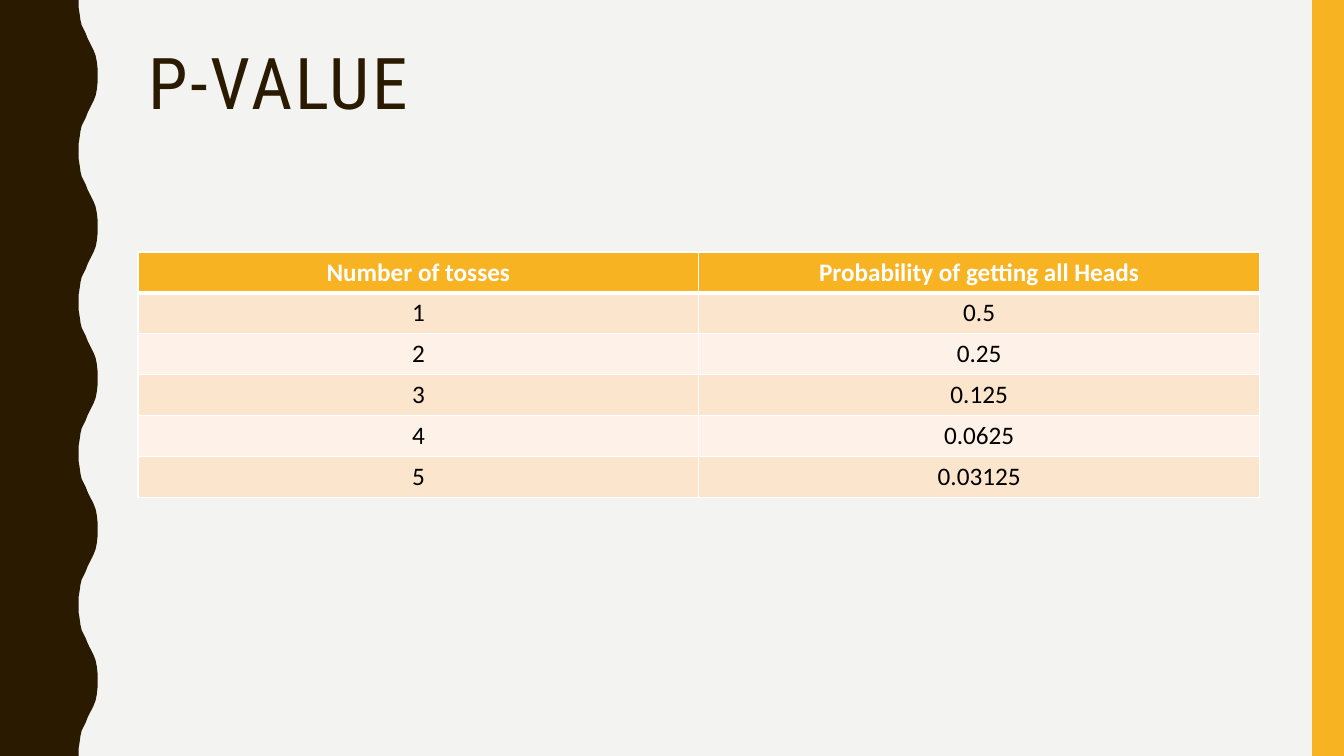
"""Build the P-value slide with its table of coin toss probabilities."""
import lxml.etree
import pptx
import pptx.dml.color
import pptx.enum.shapes
import pptx.enum.text
import pptx.oxml
import pptx.oxml.ns
import pptx.util

Cm = pptx.util.Cm
Pt = pptx.util.Pt
RGBColor = pptx.dml.color.RGBColor
Align = pptx.enum.text.PP_ALIGN
Anchor = pptx.enum.text.MSO_ANCHOR

BACKGROUND = RGBColor(0xF3, 0xF3, 0xF2)
BROWN = RGBColor(0x2A, 0x1A, 0x00)
GOLD = RGBColor(0xF8, 0xB3, 0x23)
PEACH = RGBColor(0xFC, 0xE5, 0xCD)
CREAM = RGBColor(0xFE, 0xF2, 0xE8)
WHITE = RGBColor(0xFF, 0xFF, 0xFF)
BLACK = RGBColor(0x00, 0x00, 0x00)

SLIDE_WIDTH, SLIDE_HEIGHT = 33.87, 19.05
WAVE_COUNT = 5
WAVE_PERIOD = SLIDE_HEIGHT / WAVE_COUNT
HALF_WAVE = [
    (1.98, 0), (1.98, 0.18), (2.01, 0.36), (2.03, 0.51), (2.06, 0.64),
    (2.11, 0.74), (2.16, 0.84), (2.21, 0.97), (2.26, 1.07), (2.31, 1.17),
    (2.36, 1.27), (2.41, 1.4), (2.44, 1.55), (2.46, 1.73), (2.46, 1.9),
]
TOSSES = [
    ("Number of tosses", "Probability of getting all Heads"),
    ("1", "0.5"),
    ("2", "0.25"),
    ("3", "0.125"),
    ("4", "0.0625"),
    ("5", "0.03125"),
]


def write_text(text_frame, text, *, font, size, color, bold=False,
               align=Align.LEFT, line_spacing=None, letter_spacing=None):
    paragraph = text_frame.paragraphs[0]
    paragraph.alignment = align
    if line_spacing:
        paragraph.line_spacing = line_spacing
    run = paragraph.add_run()
    run.text = text
    run.font.name = font
    run.font.size = Pt(size)
    run.font.bold = bold
    run.font.color.rgb = color
    if letter_spacing:
        run.font._element.set("spc", str(letter_spacing * 100))


class SlideBuilder:
    def __init__(self, presentation):
        self.heading_font = "Roboto Condensed"
        self.body_font = "Calibri"
        self.slide = presentation.slides.add_slide(presentation.slide_layouts[5])
        self.slide.background.fill.solid()
        self.slide.background.fill.fore_color.rgb = BACKGROUND

    def paint(self, shape, color):
        shape.shadow.inherit = False
        shape.fill.solid()
        shape.fill.fore_color.rgb = color
        shape.line.fill.background()

    def wavy_edge(self):
        wave = HALF_WAVE + [(x, WAVE_PERIOD - y) for x, y in HALF_WAVE[-2::-1]]
        points = [(x, y + index * WAVE_PERIOD)
                  for index in range(WAVE_COUNT) for x, y in wave]
        points.append((0, SLIDE_HEIGHT))
        builder = self.slide.shapes.build_freeform(0, 0)
        builder.add_line_segments([(Cm(x), Cm(y)) for x, y in points], close=True)
        self.paint(builder.convert_to_shape(), BROWN)

    def bar(self, left, top, width, height):
        shape = self.slide.shapes.add_shape(
            pptx.enum.shapes.MSO_SHAPE.RECTANGLE,
            Cm(left), Cm(top), Cm(width), Cm(height))
        self.paint(shape, GOLD)

    def title(self, text, left, top, width, height):
        title = self.slide.shapes.title
        title.left, title.top = Cm(left), Cm(top)
        title.width, title.height = Cm(width), Cm(height)
        title.text_frame.auto_size = pptx.enum.text.MSO_AUTO_SIZE.NONE
        title.text_frame.word_wrap = True
        title.text_frame.vertical_anchor = Anchor.TOP
        write_text(title.text_frame, text, font=self.heading_font, size=51,
                   color=BROWN, line_spacing=0.9, letter_spacing=2)

    def cell_borders(self, cell, bottom_width):
        properties = cell._tc.get_or_add_tcPr()
        widths = {"lnL": 1, "lnR": 1, "lnT": 1, "lnB": bottom_width}
        for side, width in widths.items():
            line = lxml.etree.SubElement(
                properties, pptx.oxml.ns.qn("a:" + side), w=str(Pt(width)))
            fill = lxml.etree.SubElement(line, pptx.oxml.ns.qn("a:solidFill"))
            lxml.etree.SubElement(
                fill, pptx.oxml.ns.qn("a:srgbClr"), val=str(WHITE))

    def table(self, rows, left, top, column_width, row_height):
        column_count = len(rows[0])
        table = self.slide.shapes.add_table(
            len(rows), column_count, Cm(left), Cm(top),
            Cm(column_width * column_count), Cm(row_height * len(rows))).table
        for column in table.columns:
            column.width = Cm(column_width)
        for row_index, row in enumerate(rows):
            header = row_index == 0
            table.rows[row_index].height = Cm(row_height)
            for column_index, text in enumerate(row):
                cell = table.cell(row_index, column_index)
                cell.vertical_anchor = Anchor.BOTTOM
                self.cell_borders(cell, 3 if header else 1)
                cell.fill.solid()
                cell.fill.fore_color.rgb = (
                    GOLD if header else PEACH if row_index % 2 else CREAM)
                write_text(cell.text_frame, text, font=self.body_font, size=18,
                           color=WHITE if header else BLACK, bold=header,
                           align=Align.CENTER)


def main():
    presentation = pptx.Presentation()
    presentation.slide_width = Cm(SLIDE_WIDTH)
    presentation.slide_height = Cm(SLIDE_HEIGHT)
    builder = SlideBuilder(presentation)
    builder.wavy_edge()
    builder.bar(33.07, 0, 0.8, SLIDE_HEIGHT)
    builder.title("P-VALUE", 3.48, 1.07, 28.27, 4.14)
    builder.table(TOSSES, 3.48, 6.35, 14.13, 1.03)
    presentation.save("out.pptx")


if __name__ == "__main__":
    main()
